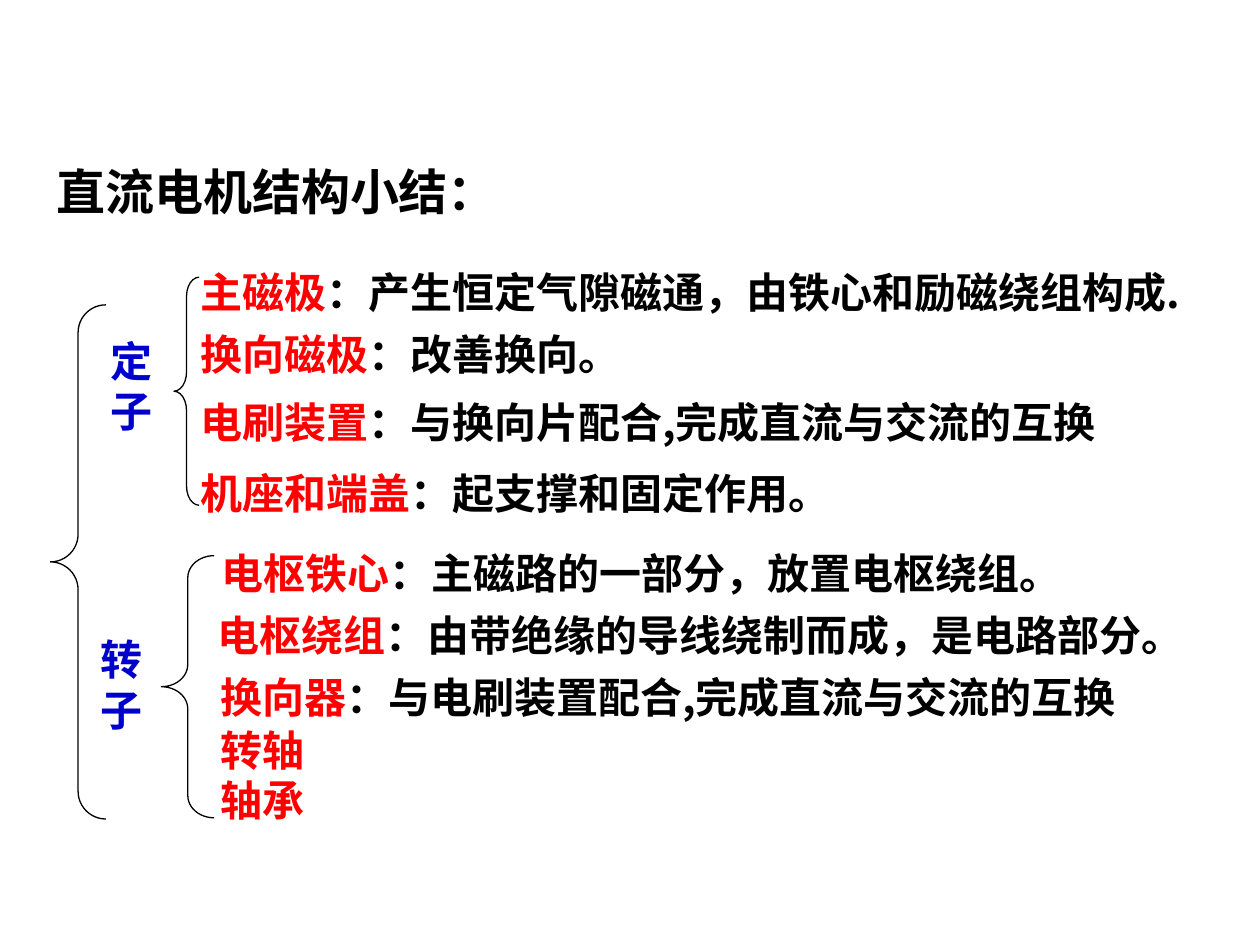
from dataclasses import dataclass

from lxml import etree
from pptx import Presentation
from pptx.dml.color import RGBColor
from pptx.enum.shapes import MSO_SHAPE
from pptx.enum.text import MSO_AUTO_SIZE
from pptx.oxml.ns import qn
from pptx.util import Pt

LEFT_BRACE = MSO_SHAPE.LEFT_BRACE
FIT_SHAPE = MSO_AUTO_SIZE.SHAPE_TO_FIT_TEXT


@dataclass(frozen=True)
class Theme:
    font: str = "Noto Sans CJK SC"
    title_size: int = 28
    body_size: int = 24
    brace_line: float = 0.75
    ink: RGBColor = RGBColor(0x00, 0x00, 0x00)
    term: RGBColor = RGBColor(0xFF, 0x00, 0x00)
    group: RGBColor = RGBColor(0x00, 0x00, 0xCC)


class SlideBuilder:
    def __init__(self, slide, theme):
        self.slide = slide
        self.theme = theme

    def text(self, left, top, width, height, parts, size):
        """Add one paragraph made of (wording, colour) parts."""
        box = self.slide.shapes.add_textbox(Pt(left), Pt(top), Pt(width), Pt(height))
        frame = box.text_frame
        frame.word_wrap = True
        frame.auto_size = FIT_SHAPE
        paragraph = frame.paragraphs[0]
        for wording, color in parts:
            run = paragraph.add_run()
            run.text = wording
            font = run.font
            font.name = self.theme.font
            font.size = Pt(size)
            font.bold = True
            font.color.rgb = color
            east_asian = etree.SubElement(run._r.get_or_add_rPr(), qn("a:ea"))
            east_asian.set("typeface", self.theme.font)

    def title(self, left, top, width, height, wording):
        self.text(left, top, width, height, [(wording, self.theme.ink)], self.theme.title_size)

    def group_label(self, left, top, width, wording):
        self.text(left, top, width, 36, [(wording, self.theme.group)], self.theme.body_size)

    def entry(self, left, top, width, term, description):
        parts = [(term, self.theme.term)]
        if description:
            parts.append((description, self.theme.ink))
        self.text(left, top, width, 36, parts, self.theme.body_size)

    def brace(self, left, top, width, height, curve):
        shape = self.slide.shapes.add_shape(LEFT_BRACE, Pt(left), Pt(top), Pt(width), Pt(height))
        shape.shadow.inherit = False
        shape.adjustments[0] = curve
        shape.adjustments[1] = 0.5
        shape.fill.background()
        shape.line.color.rgb = self.theme.ink
        shape.line.width = Pt(self.theme.brace_line)


STATOR_ENTRIES = [
    (107.3, 149, 602.6, "主磁极", "：产生恒定气隙磁通，由铁心和励磁绕组构成."),
    (107.3, 184.3, 258.5, "换向磁极", "：改善换向。"),
    (107.3, 223.2, 551.5, "电刷装置", "：与换向片配合,完成直流与交流的互换"),
    (107.3, 263.5, 382.3, "机座和端盖", "：起支撑和固定作用。"),
]
ROTOR_ENTRIES = [
    (119.5, 309.6, 515.5, "电枢铁心", "：主磁路的一部分，放置电枢绕组。"),
    (117.4, 344.9, 582.5, "电枢绕组", "：由带绝缘的导线绕制而成，是电路部分。"),
    (118.8, 380.2, 573.1, "换向器", "：与电刷装置配合,完成直流与交流的互换"),
    (118.8, 410.4, 102.2, "转轴", ""),
    (118.8, 439.2, 70.6, "轴承", ""),
]


def main():
    presentation = Presentation()
    presentation.slide_width = Pt(720)
    presentation.slide_height = Pt(540)
    slide = presentation.slides.add_slide(presentation.slide_layouts[6])
    builder = SlideBuilder(slide, Theme())

    builder.title(25.2, 88.6, 385.2, 41, "直流电机结构小结：")

    builder.brace(99.4, 158.4, 14.4, 130.3, 0.76)
    for entry in STATOR_ENTRIES:
        builder.entry(*entry)

    builder.brace(28.8, 174.2, 31.7, 293.8, 0.5)
    builder.group_label(56.2, 187.9, 42.5, "定子")
    builder.group_label(50.4, 358.6, 47.5, "转子")

    builder.brace(92.2, 317.5, 30.2, 149.8, 0.42)
    for entry in ROTOR_ENTRIES:
        builder.entry(*entry)

    presentation.save("out.pptx")


if __name__ == "__main__":
    main()
